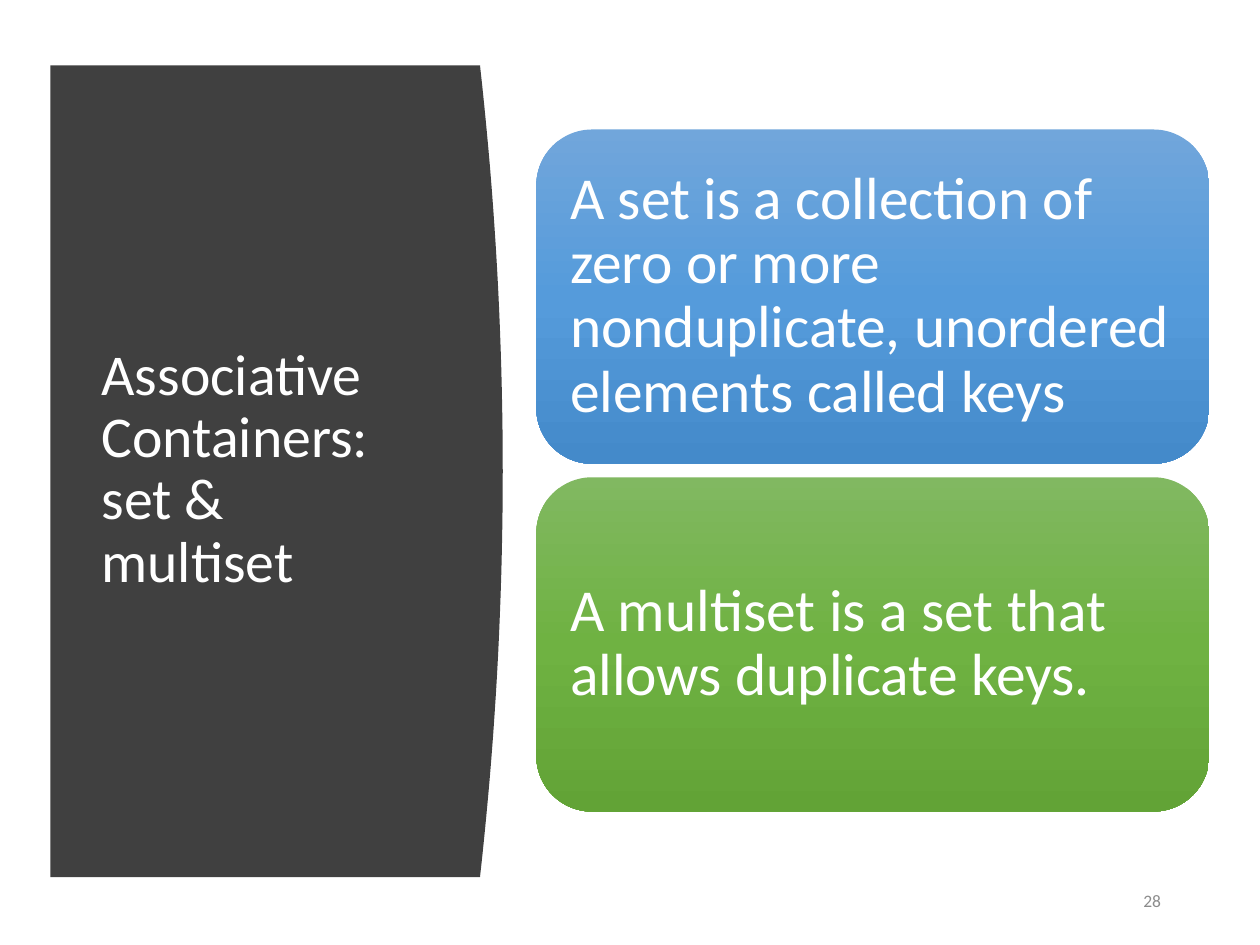
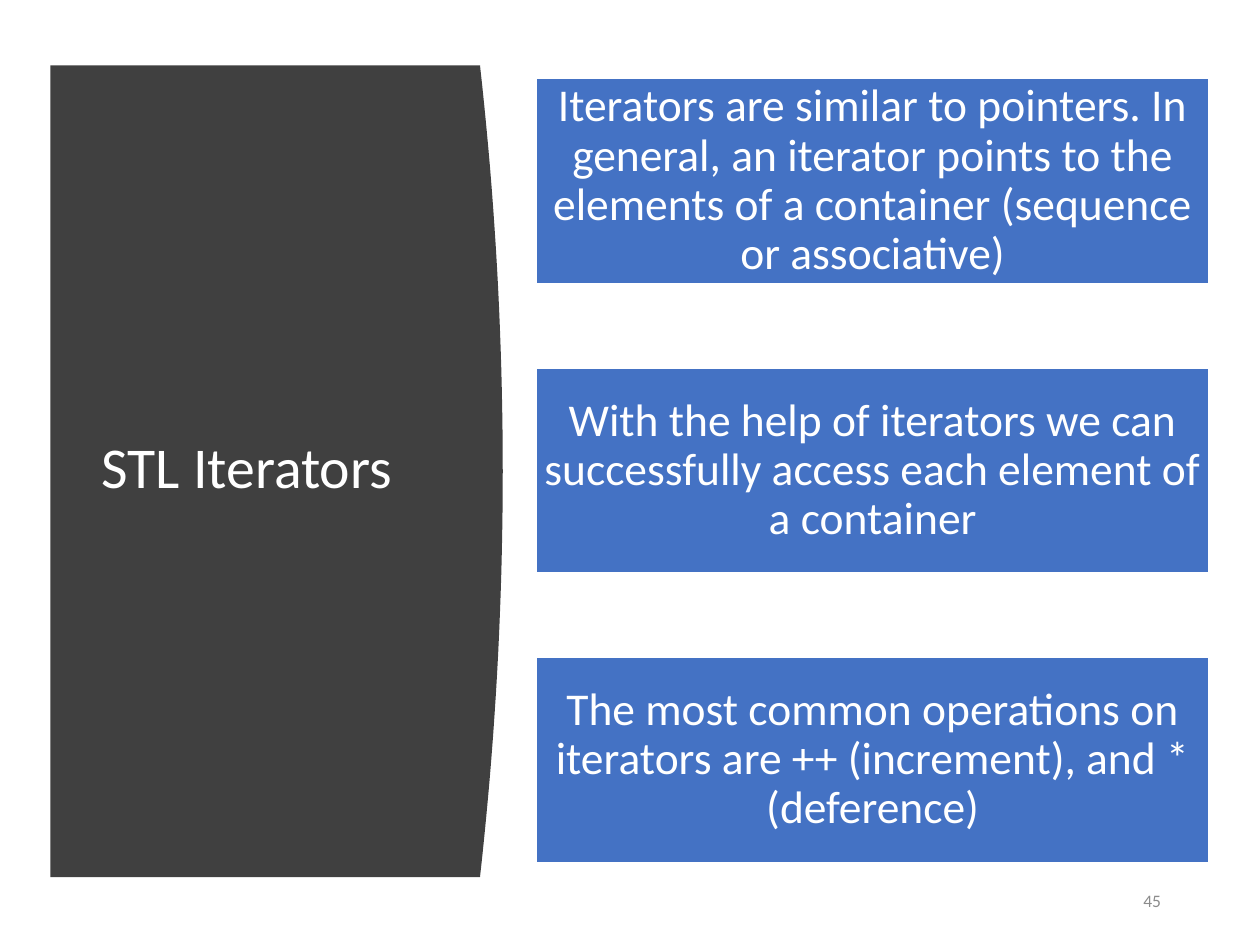
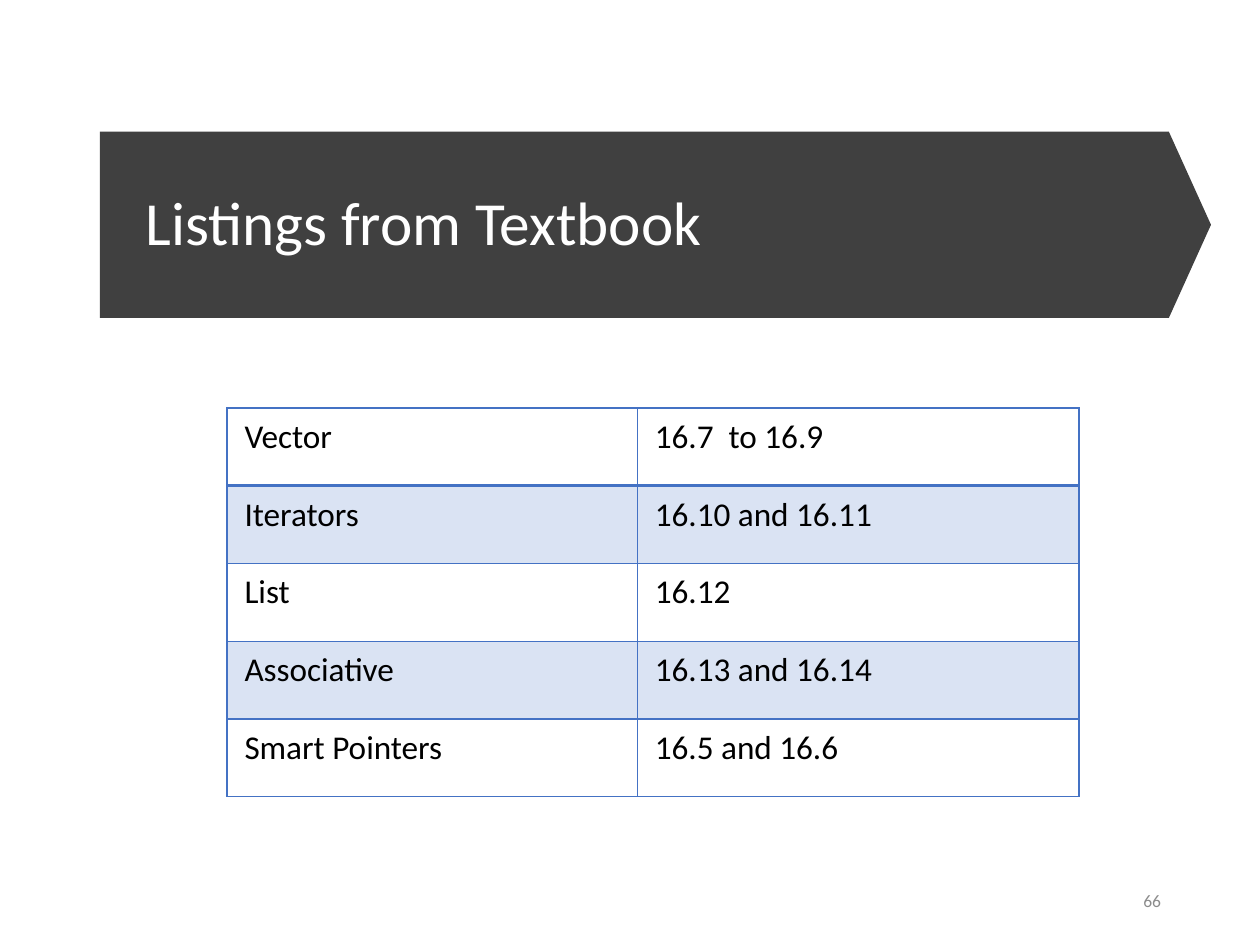
from copy import deepcopy

from pptx import Presentation
from pptx.dml.color import RGBColor
from pptx.enum import shapes, text
from pptx.oxml import parse_xml
from pptx.oxml.ns import nsdecls, qn
from pptx.util import Pt

WHITE = RGBColor(0xFF, 0xFF, 0xFF)
BLACK = RGBColor(0x00, 0x00, 0x00)
CHARCOAL = RGBColor(0x40, 0x40, 0x40)
GREY = RGBColor(0x8C, 0x8C, 0x8C)
BLUE = RGBColor(0x44, 0x72, 0xC4)
PALE_BLUE = RGBColor(0xDA, 0xE3, 0xF3)
BLUE_FADE = (RGBColor(0x71, 0xA6, 0xDB), RGBColor(0x55, 0x9B, 0xDB), RGBColor(0x44, 0x8A, 0xCA))
GREEN_FADE = (RGBColor(0x81, 0xB8, 0x61), RGBColor(0x6F, 0xB2, 0x42), RGBColor(0x62, 0xA3, 0x36))

SHAPE = shapes.MSO_SHAPE
LEFT, CENTER, RIGHT = text.PP_ALIGN.LEFT, text.PP_ALIGN.CENTER, text.PP_ALIGN.RIGHT
CARD_LEFT, CARD_WIDTH = 306.5, 384.5


class Deck:
    """Holds the shared style and the slide being built."""

    font = "Calibri"

    def __init__(self):
        self.prs = Presentation()
        self.prs.slide_width, self.prs.slide_height = Pt(720), Pt(540)
        self.s = None

    def new_slide(self):
        self.s = self.prs.slides.add_slide(self.prs.slide_layouts[6])

    def set_text(self, tf, words, size, color=WHITE, align=LEFT, spacing=0.9):
        tf.word_wrap = True
        p = tf.paragraphs[0]
        p.text = words
        p.alignment, p.line_spacing = align, spacing
        p.font.name, p.font.size, p.font.color.rgb = self.font, Pt(size), color

    def text_box(self, box, words, size, **style):
        tf = self.s.shapes.add_textbox(*map(Pt, box)).text_frame
        tf.vertical_anchor = text.MSO_ANCHOR.MIDDLE
        self.set_text(tf, words, size, **style)

    def page_number(self, number, width=37):
        self.text_box((670.5 - width, 500.5, width, 28.75), str(number), 10,
                      color=GREY, align=RIGHT, spacing=1.0)

    def side_title(self, words):
        """Dark panel with a bulging right edge, and the title on it."""
        left, top, bottom, corner, bulge, steps = 28.8, 37.4, 501.2, 274.3, 13, 40
        middle, half = (top + bottom) / 2, (bottom - top) / 2
        edge = []
        for i in range(steps + 1):
            t = 2 * i / steps - 1
            edge.append((Pt(corner + bulge * (1 - t * t)), Pt(middle + half * t)))
        builder = self.s.shapes.build_freeform(Pt(left), Pt(top), scale=1.0)
        builder.add_line_segments(edge + [(Pt(left), Pt(bottom))], close=True)
        self.paint(builder.convert_to_shape(), CHARCOAL)
        self.text_box((51, 80, 200, 377), words, 33)

    def arrow_title(self, words):
        sp = self.s.shapes.add_shape(SHAPE.PENTAGON, Pt(57), Pt(75.2), Pt(635), Pt(106.5))
        sp.adjustments[0] = 0.226
        self.paint(sp, CHARCOAL)
        self.text_box((76, 95, 592, 67.5), words, 35)

    def paint(self, sp, color, line=None):
        sp.shadow.inherit = False
        sp.fill.solid()
        sp.fill.fore_color.rgb = color
        if line is None:
            sp.line.fill.background()
        else:
            sp.line.color.rgb, sp.line.width = line, Pt(1)

    def fade(self, sp, colors):
        """Fill from top to bottom with three evenly spaced colours."""
        sp.fill.gradient()
        sp.fill.gradient_angle = 270
        stops = sp._element.spPr.find(".//" + qn("a:gsLst"))
        stops.insert(1, deepcopy(stops[0]))
        for stop, place, color in zip(sp.fill.gradient_stops, (0, 0.5, 1), colors):
            stop.position, stop.color.rgb = place, color

    def card(self, kind, top, height, words, size, margin, align=LEFT, line=None, colors=None):
        sp = self.s.shapes.add_shape(kind, Pt(CARD_LEFT), Pt(top), Pt(CARD_WIDTH), Pt(height))
        self.paint(sp, BLUE, line)
        if colors:
            self.fade(sp, colors)
        tf = sp.text_frame
        tf.margin_left = tf.margin_right = tf.margin_top = tf.margin_bottom = Pt(margin)
        tf.vertical_anchor = text.MSO_ANCHOR.MIDDLE
        self.set_text(tf, words, size, align=align)

    def border(self, cell, bottom):
        for i, side in enumerate("LRTB"):
            width = Pt(bottom if side == "B" else 1)
            cell._tc.get_or_add_tcPr().insert(i, parse_xml(
                f'<a:ln{side} {nsdecls("a")} w="{width}"><a:solidFill>'
                f'<a:srgbClr val="{BLUE}"/></a:solidFill></a:ln{side}>'))

    def table(self, left, top, widths, row_height, rows):
        frame = self.s.shapes.add_table(len(rows), len(widths), Pt(left), Pt(top),
                                        Pt(sum(widths)), Pt(row_height * len(rows)))
        tbl = frame.table
        tbl.first_row = tbl.horz_banding = False
        for column, width in zip(tbl.columns, widths):
            column.width = Pt(width)
        for i, row in enumerate(rows):
            tbl.rows[i].height = Pt(row_height)
            for j, words in enumerate(row):
                cell = tbl.cell(i, j)
                cell.margin_left = cell.margin_right = Pt(10)
                cell.margin_top = cell.margin_bottom = Pt(5)
                cell.fill.solid()
                cell.fill.fore_color.rgb = PALE_BLUE if i % 2 else WHITE
                self.border(cell, bottom=2 if i == 0 else 1)
                self.set_text(cell.text_frame, words, 19, color=BLACK, spacing=1.0)


def set_slide(deck):
    deck.new_slide()
    deck.side_title("Associative Containers: set & multiset")
    deck.page_number(28)
    definitions = [
        ("A set is a collection of zero or more nonduplicate, unordered elements called keys",
         BLUE_FADE),
        ("A multiset is a set that allows duplicate keys.", GREEN_FADE),
    ]
    for i, (words, colors) in enumerate(definitions):
        deck.card(SHAPE.ROUNDED_RECTANGLE, 74 + 198.75 * i, 191, words, 34, 10, colors=colors)


def iterator_slide(deck):
    deck.new_slide()
    deck.side_title("STL Iterators")
    deck.page_number(45)
    facts = [
        "Iterators are similar to pointers. In general, an iterator points to the elements "
        "of a container (sequence or associative)",
        "With the help of iterators we can successfully access each element of a container",
        "The most common operations on iterators are ++ (increment), and * (deference)",
    ]
    for i, words in enumerate(facts):
        deck.card(SHAPE.RECTANGLE, 44.75 + 165.5 * i, 117.25, words, 26, 1.5,
                  align=CENTER, line=WHITE)


def listing_slide(deck):
    deck.new_slide()
    deck.arrow_title("Listings from Textbook")
    deck.page_number(66, width=162)
    deck.table(129.75, 233.25, (234.5, 252.5), 44.4, [
        ("Vector", "16.7  to 16.9"),
        ("Iterators", "16.10 and 16.11"),
        ("List", "16.12"),
        ("Associative", "16.13 and 16.14"),
        ("Smart Pointers", "16.5 and 16.6"),
    ])


def main():
    deck = Deck()
    set_slide(deck)
    iterator_slide(deck)
    listing_slide(deck)
    deck.prs.save("out.pptx")


if __name__ == "__main__":
    main()
